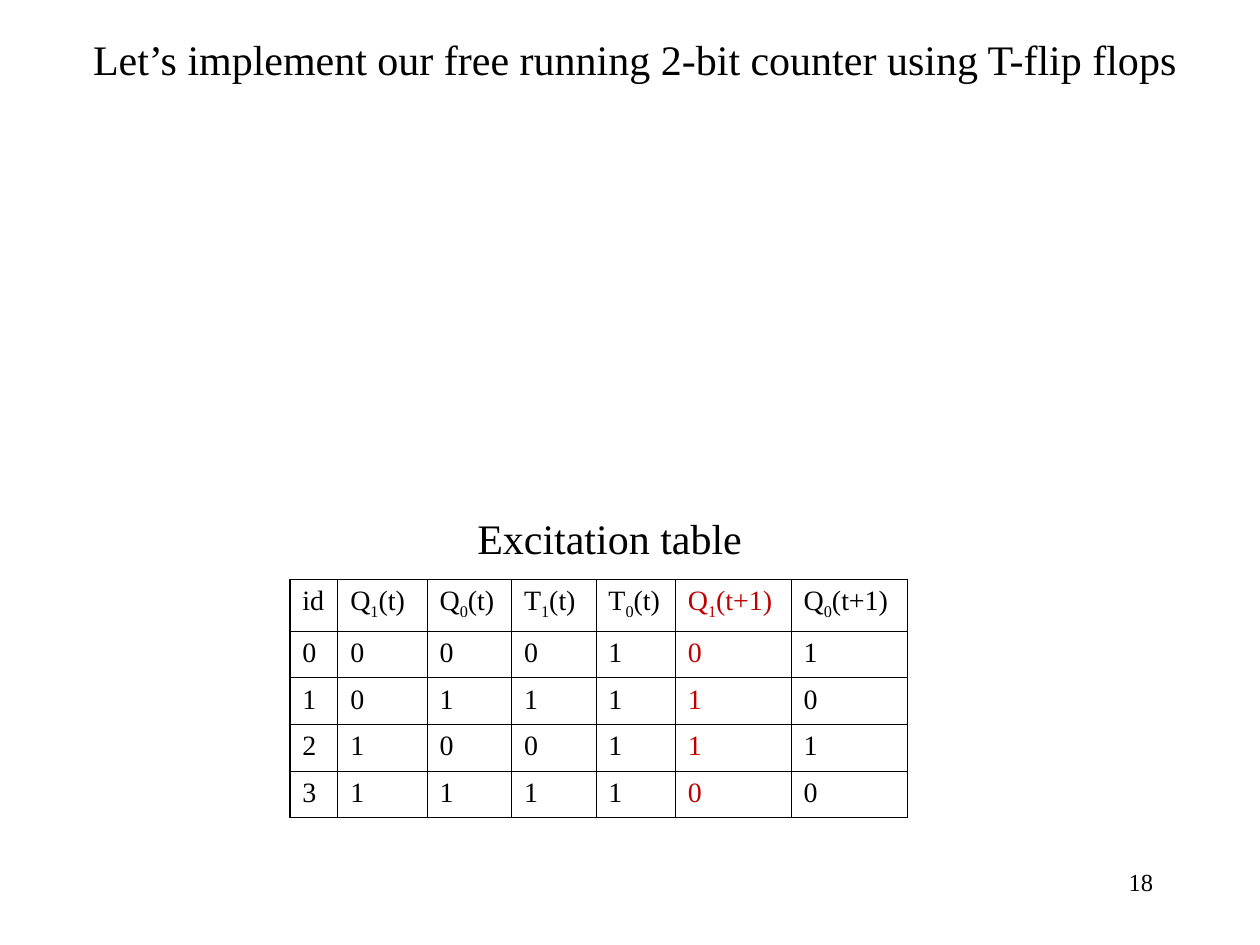
"""Build the slide with the excitation table of a 2-bit counter made of T flip-flops."""
import lxml.etree
import pptx
import pptx.dml.color
import pptx.enum.text
import pptx.oxml.ns
import pptx.util

Inches = pptx.util.Inches
ALIGN = pptx.enum.text.PP_ALIGN
FONT = "Times New Roman"
COLORS = {"text": "000000", "next": "C00000"}
LABELS = [
    ("Let’s implement our free running 2-bit counter using T-flip flops",
     (0.64, 0.22, 8.85, 0.5), 24, ALIGN.LEFT, False),
    ("Excitation table", (3.69, 4.02, 2.3, 0.5), 24, ALIGN.LEFT, False),
    ("18", (7.17, 6.83, 2.08, 0.5), 14, ALIGN.RIGHT, True),
]
HEADER = [("id",), ("Q", "1", "(t)"), ("Q", "0", "(t)"), ("T", "1", "(t)"),
          ("T", "0", "(t)"), ("Q", "1", "(t+1)"), ("Q", "0", "(t+1)")]
STATES = ["0000101", "1011110", "2100111", "3111100"]
COL_WIDTHS = [0.38, 0.71, 0.67, 0.67, 0.63, 0.92, 0.92]
ROW_HEIGHTS = [0.41] + [0.37] * len(STATES)
TABLE_LEFT, TABLE_TOP = 2.3, 4.6
RED_COL = 5
THIN, THICK = 0.45, 1.08


def add_run(p, text, size, color="text"):
    r = p.add_run()
    r.text = text
    r.font.name = FONT
    r.font.size = pptx.util.Pt(size)
    r.font.color.rgb = pptx.dml.color.RGBColor.from_string(COLORS[color])
    return r


def add_label(slide, text, box, size, align, wrap):
    tf = slide.shapes.add_textbox(*map(Inches, box)).text_frame
    tf.word_wrap = wrap
    if not wrap:
        tf.auto_size = pptx.enum.text.MSO_AUTO_SIZE.SHAPE_TO_FIT_TEXT
    p = tf.paragraphs[0]
    p.alignment = align
    add_run(p, text, size)


def set_border(cell, side, width):
    qn = pptx.oxml.ns.qn
    tcPr = cell._tc.get_or_add_tcPr()
    ln = lxml.etree.SubElement(tcPr, qn(f"a:ln{side}"), w=str(pptx.util.Pt(width)))
    fill = lxml.etree.SubElement(ln, qn("a:solidFill"))
    lxml.etree.SubElement(fill, qn("a:srgbClr"), val=COLORS["text"])


def add_table(slide):
    rows = [HEADER] + [[(bit,) for bit in state] for state in STATES]
    table = slide.shapes.add_table(
        len(rows), len(COL_WIDTHS), Inches(TABLE_LEFT), Inches(TABLE_TOP),
        Inches(sum(COL_WIDTHS)), Inches(sum(ROW_HEIGHTS))).table
    table.first_row = table.horz_banding = False
    for column, width in zip(table.columns, COL_WIDTHS):
        column.width = Inches(width)
    for i, (row, height) in enumerate(zip(rows, ROW_HEIGHTS)):
        table.rows[i].height = Inches(height)
        for j, parts in enumerate(row):
            cell = table.cell(i, j)
            for k, part in enumerate(parts):
                r = add_run(cell.text_frame.paragraphs[0], part, 16,
                            "next" if j == RED_COL else "text")
                if k == 1:
                    r.font._element.set("baseline", "-25000")
            set_border(cell, "L", THIN if j else THICK)
            set_border(cell, "R", THIN)
            set_border(cell, "T", THIN if i else THICK)
            set_border(cell, "B", THIN)
            cell.fill.background()


def main():
    prs = pptx.Presentation()
    prs.slide_width, prs.slide_height = Inches(10), Inches(7.5)
    slide = prs.slides.add_slide(prs.slide_layouts[6])
    for label in LABELS:
        add_label(slide, *label)
    add_table(slide)
    prs.save("out.pptx")


if __name__ == "__main__":
    main()
